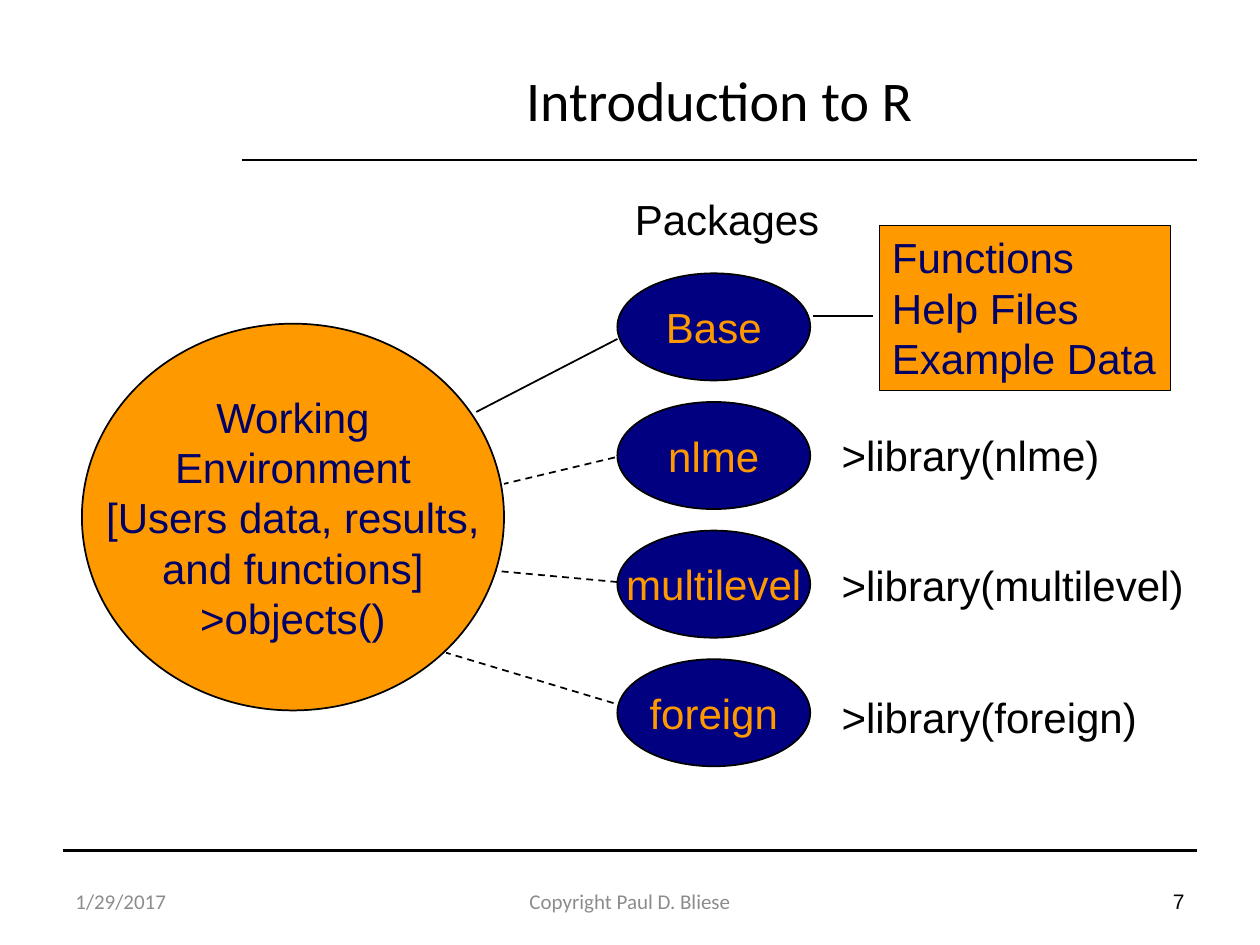
from pptx import Presentation
from pptx.dml.color import RGBColor
from pptx.enum.dml import MSO_LINE
from pptx.enum.shapes import MSO_CONNECTOR, MSO_SHAPE
from pptx.enum.text import MSO_ANCHOR, PP_ALIGN
from pptx.oxml.ns import qn
from pptx.util import Pt

BLACK = RGBColor(0, 0, 0)
GRAY = RGBColor(0x8C, 0x8C, 0x8C)
ORANGE = RGBColor(0xFF, 0x99, 0x00)
NAVY = RGBColor(0, 0, 0x80)
INK = RGBColor(0, 0, 0x66)
LEFT, MID, RIGHT = PP_ALIGN.LEFT, PP_ALIGN.CENTER, PP_ALIGN.RIGHT

deck = Presentation()
deck.slide_width, deck.slide_height = Pt(720), Pt(540)
slide = deck.slides.add_slide(deck.slide_layouts[6])
shapes = slide.shapes


def put(box, lines, color, align=LEFT, size=24, font="Arial", fill=None,
        anchor=MSO_ANCHOR.MIDDLE, wrap=False, kind=None):
    box = [Pt(n) for n in box]
    if kind is None:
        shape = shapes.add_textbox(*box)
    else:
        shape = shapes.add_shape(kind, *box)
        shape.shadow.inherit = False
        shape.fill.solid()
        shape.fill.fore_color.rgb = fill
        shape.line.color.rgb = BLACK
        shape.line.width = Pt(1)
    frame = shape.text_frame
    frame.word_wrap = wrap
    frame.vertical_anchor = anchor
    for i, line in enumerate(lines):
        para = frame.add_paragraph() if i else frame.paragraphs[0]
        para.alignment = align
        run = para.add_run()
        run.text = line
        run.font.size = Pt(size)
        run.font.name = font
        run.font.color.rgb = color


def link(x1, y1, x2, y2, width=1, dash=False):
    line = shapes.add_connector(
        MSO_CONNECTOR.STRAIGHT, Pt(x1), Pt(y1), Pt(x2), Pt(y2))
    line.line.color.rgb = BLACK
    line.line.width = Pt(width)
    if dash:
        line.line.dash_style = MSO_LINE.DASH
    props = line._element.spPr
    props.append(props.makeelement(qn("a:effectLst"), {}))


link(138.2, 91.4, 684, 91.4, 1.5)
link(36, 486, 684, 486, 1.5)

put((138.2, 21.6, 545.8, 69.8), ["Introduction to R"], BLACK, MID, 32,
    "Calibri", wrap=True)
for x, wide, text, color, align, font in [
    (36, 168, "1/29/2017", GRAY, LEFT, "Calibri"),
    (246, 228, "Copyright Paul D. Bliese", GRAY, MID, "Calibri"),
    (516, 168, "7", BLACK, RIGHT, "Arial"),
]:
    put((x, 500.4, wide, 28.8), [text], color, align, 12, font, wrap=True)

put((46.8, 185, 241.2, 221), [
    "Working", "Environment", "[Users data, results,", "and functions]",
    ">objects()"], INK, MID, fill=ORANGE, kind=MSO_SHAPE.OVAL)

for i, name in enumerate(["Base", "nlme", "multilevel", "foreign"]):
    put((352.8, 156.2 + 73.5 * i, 110.2, 61.2), [name], ORANGE, MID,
        fill=NAVY, kind=MSO_SHAPE.OVAL)

for ends, dash in [
    ((352.8, 193.7, 272.2, 235.4), False),
    ((351.4, 261.4, 288, 276.5), True),
    ((352.8, 332.6, 283, 326.2), True),
    ((350.6, 401.8, 254.9, 373), True),
    ((499, 180.7, 464.4, 180.7), False),
]:
    link(*ends, dash=dash)

put((502.6, 128.9, 166.3, 94.3), ["Functions", "Help Files", "Example Data"],
    INK, fill=ORANGE, anchor=MSO_ANCHOR.TOP, kind=MSO_SHAPE.RECTANGLE)

for x, y, wide, text in [
    (355.7, 107.3, 120.2, "Packages"),
    (473.8, 241.9, 163.4, ">library(nlme)"),
    (473.8, 316.1, 212.4, ">library(multilevel)"),
    (473.8, 391.7, 183.6, ">library(foreign)"),
]:
    put((x, y, wide, 36), [text], BLACK, anchor=MSO_ANCHOR.TOP)

deck.save("out.pptx")
